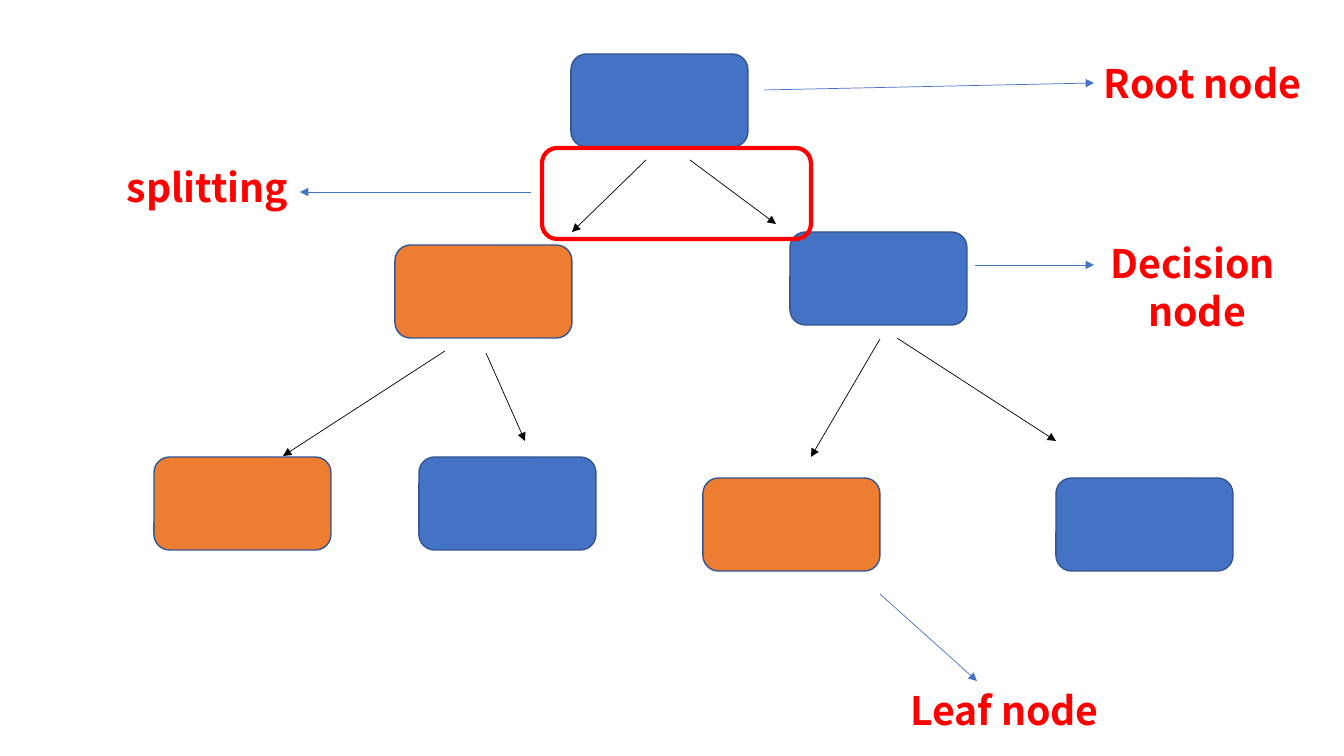
from pptx import Presentation
from pptx.dml.color import RGBColor
from pptx.enum.shapes import MSO_SHAPE as Shape, MSO_CONNECTOR as Conn
from pptx.enum.text import MSO_AUTO_SIZE as Fit, PP_ALIGN as Align
from pptx.oxml.ns import qn
from pptx.util import Inches, Pt
from lxml.etree import SubElement as sub

BLUE, ORANGE, EDGE = "4472C4", "ED7D31", "325491"
RED, BLACK = "FF0000", "000000"
FONT = "Noto Sans CJK JP"
NODE = (177, 93)
NODES = [
    (571, 54, BLUE),
    (790, 232, BLUE),
    (703, 478, ORANGE),
    (1056, 478, BLUE),
    (395, 245, ORANGE),
    (154, 457, ORANGE),
    (419, 457, BLUE),
]
SPLIT = (542, 148, 269, 91)
ARROWS = {
    BLACK: [
        (646, 160, 572, 232),
        (690, 160, 776, 224),
        (897, 338, 1056, 441),
        (880, 339, 811, 457),
        (445, 351, 283, 456),
        (486, 353, 525, 441),
    ],
    BLUE: [
        (764, 90, 1094, 83),
        (531, 192, 300, 192),
        (975, 265, 1094, 265),
        (880, 594, 977, 681),
    ],
}
LABELS = [
    ((1094, 54, 232, 57), Align.LEFT, ["Root node"]),
    ((1094, 234, 206, 105), Align.CENTER, ["Decision ", "node"]),
    ((892, 681, 225, 57), Align.CENTER, ["Leaf node"]),
    ((117, 158, 183, 57), Align.LEFT, ["splitting"]),
]


def px(*nums):
    return [Inches(n / 100.8) for n in nums]


def color(code):
    return RGBColor.from_string(code)


def box(area, fill, edge, width):
    item = shapes.add_shape(Shape.ROUNDED_RECTANGLE, *px(*area))
    item.shadow.inherit = False
    if fill:
        item.fill.solid()
        item.fill.fore_color.rgb = color(fill)
    else:
        item.fill.background()
    item.line.color.rgb = color(edge)
    item.line.width = Pt(width)


def arrow(ends, tint):
    item = shapes.add_connector(Conn.STRAIGHT, *px(*ends))
    item.line.color.rgb = color(tint)
    item.line.width = Pt(0.5)
    sub(item.line._get_or_add_ln(), qn("a:tailEnd"), type="triangle")
    sub(item._element.spPr, qn("a:effectLst"))


def label(area, align, lines):
    frame = shapes.add_textbox(*px(*area)).text_frame
    frame.word_wrap = False
    frame.auto_size = Fit.SHAPE_TO_FIT_TEXT
    frame.text = "\n".join(lines)
    for para in frame.paragraphs:
        para.alignment = align
        para.line_spacing = Pt(34)
        font = para.font
        font.name, font.size, font.bold = FONT, Pt(28), True
        font.color.rgb = color(RED)


deck = Presentation()
deck.slide_width, deck.slide_height = px(1344, 756)
shapes = deck.slides.add_slide(deck.slide_layouts[6]).shapes

for left, top, fill in NODES:
    box((left, top, *NODE), fill, EDGE, 1)
box(SPLIT, None, RED, 3)
for tint, group in ARROWS.items():
    for ends in group:
        arrow(ends, tint)
for area, align, lines in LABELS:
    label(area, align, lines)

deck.save("out.pptx")
